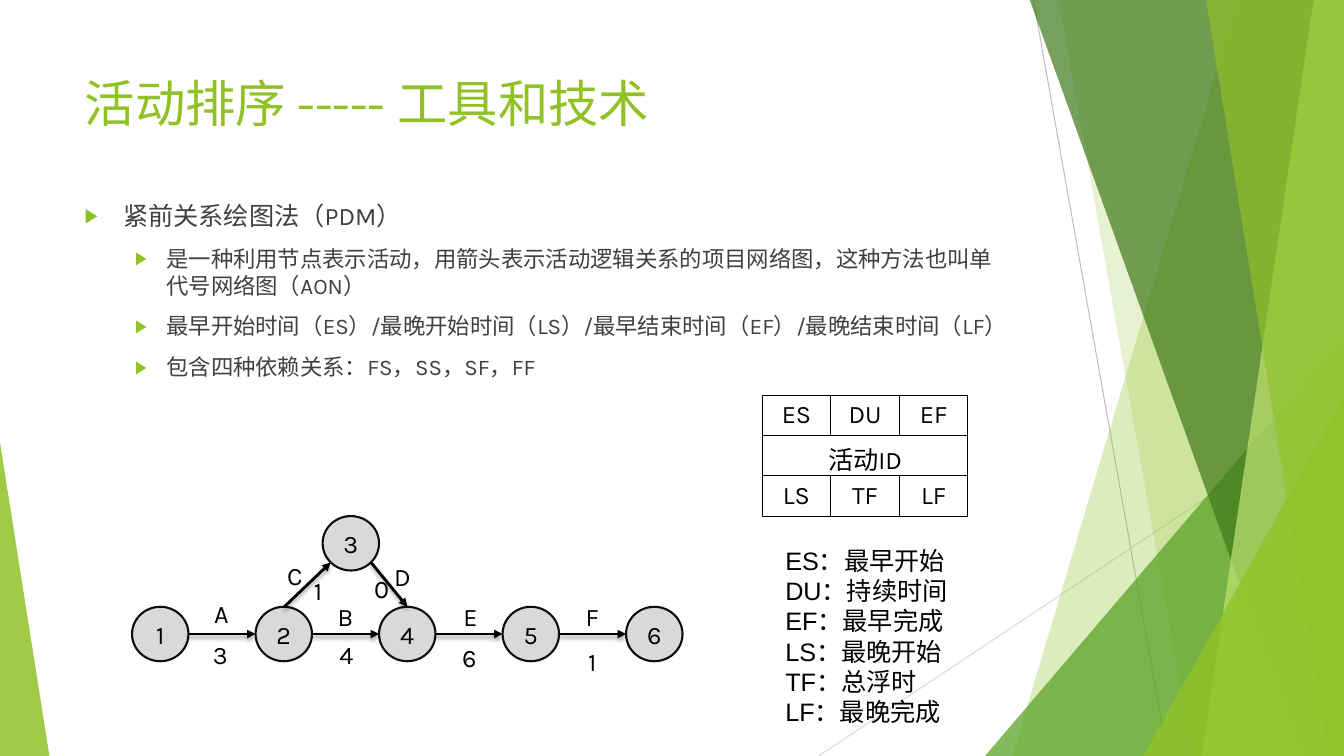
import pptx
import pptx.util
import pptx.dml.color
import pptx.enum.shapes
import pptx.enum.text
import pptx.oxml
import pptx.oxml.ns

Inches, Pt = pptx.util.Inches, pptx.util.Pt
SHAPE = pptx.enum.shapes.MSO_SHAPE
STRAIGHT = pptx.enum.shapes.MSO_CONNECTOR.STRAIGHT
ANCHOR = pptx.enum.text.MSO_ANCHOR
ALIGN = pptx.enum.text.PP_ALIGN
NO_FIT = pptx.enum.text.MSO_AUTO_SIZE.NONE
NS = pptx.oxml.ns.nsdecls("a")

# Content
W, H = 13.33, 7.5
GREEN, GREY, BLACK = "90C226", "404040", "000000"
TITLE = "活动排序 ----- 工具和技术"
BODY = [
    (0, "紧前关系绘图法（PDM）"),
    (1, "是一种利用节点表示活动，用箭头表示活动逻辑关系的项目网络图，这种方法也叫单代号网络图（AON）"),
    (1, "最早开始时间（ES）/最晚开始时间（LS）/最早结束时间（EF）/最晚结束时间（LF）"),
    (1, "包含四种依赖关系：FS，SS，SF，FF"),
]
LEVELS = [(18, 0.38, 0.38), (16, 0.81, 0.31)]  # size, left margin, hanging
NODE_W, NODE_H, NODE_STEP, ROW_Y = 0.56, 0.54, 1.225, 6.02
ROW_NODES = ["1", "2", "4", "5", "6"]
TOP_NODE = ("3", 3.2, 5.12)
FLAT_ARROWS = 4
SLOPED_ARROWS = [(2.82, 6.02, 3.28, 5.58), (3.68, 5.58, 4.04, 6.02)]
ARROW_LABELS = [  # text, left, top
    ("A", 2.02, 5.89), ("B", 3.25, 5.92), ("E", 4.49, 5.92),
    ("F", 5.7, 5.92), ("C", 2.75, 5.51), ("D", 3.81, 5.52),
    ("3", 2.01, 6.29), ("4", 3.26, 6.29), ("6", 4.48, 6.32),
    ("1", 5.7, 6.36), ("1", 2.98, 5.66), ("0", 3.61, 5.64),
]
ACTIVITY_BOX = [["ES", "DU", "EF"], ["活动ID", "", ""], ["LS", "TF", "LF"]]
LEGEND = ["ES：最早开始", "DU：持续时间", "EF：最早完成",
          "LS：最晚开始", "TF：总浮时", "LF：最晚完成"]
THIN_LINES = [(10.25, 0, 11.58, H, "BFBFBF"), (W, 4.03, 8.12, H, "D9D9D9")]
# Bands: top-left x, bottom-left x; triangles: left, top, width, apex
FACETS = [
    ("band", (12.28, 10.04), GREEN, 30),
    ("band", (10.5, 11.83), GREEN, 20),
    ("triangle", (9.77, 3.33, 3.56, 1), "54A021", 72),
    ("band", (10.21, 12.91), "3F7819", 70),
    ("band", (13.03, 11.92), "C0E474", 70),
    ("band", (11.96, 13.18), GREEN, 65),
    ("triangle", (11.34, 3.93, 1.99, 1), GREEN, 80),
    ("triangle", (0, 4.39, 0.49, 0), GREEN, 85),
]


def rgb(color):
    return pptx.dml.color.RGBColor.from_string(color)


def xml(text):
    return pptx.oxml.parse_xml(text.replace(">", f" {NS}>", 1))


def box(*lengths):
    return [Inches(v) for v in lengths]


def style(p, size=18, color=BLACK, font="Karla", align=ALIGN.LEFT):
    p.alignment = align
    for r in p.runs:
        r.font.size, r.font.name = Pt(size), font
        r.font.color.rgb = rgb(color)


def paint(sp, color, alpha=100):
    sp.shadow.inherit = False
    sp.fill.solid()
    sp.fill.fore_color.rgb = rgb(color)
    if alpha < 100:
        clr = sp.element.spPr.find(".//" + pptx.oxml.ns.qn("a:srgbClr"))
        clr.append(xml(f'<a:alpha val="{alpha * 1000}"></a:alpha>'))


def line(x1, y1, x2, y2, color, width):
    c = slide.shapes.add_connector(STRAIGHT, *box(x1, y1, x2, y2))
    c.line.color.rgb, c.line.width = rgb(color), Pt(width)
    effects = xml("<a:effectLst></a:effectLst>")
    c.element.spPr.append(effects)
    return c, effects


def arrow(x1, y1, x2, y2):
    c, effects = line(x1, y1, x2, y2, BLACK, 2)
    c.line._get_or_add_ln().append(xml('<a:tailEnd type="triangle"></a:tailEnd>'))
    effects.append(xml(
        '<a:outerShdw blurRad="38100" dist="25400" dir="5400000" rotWithShape="0">'
        f'<a:srgbClr val="{BLACK}"><a:alpha val="35000"/></a:srgbClr></a:outerShdw>'))


def node(text, x, y):
    sp = slide.shapes.add_shape(SHAPE.OVAL, *box(x, y, NODE_W, NODE_H))
    paint(sp, "D9D9D9")
    sp.line.color.rgb, sp.line.width = rgb("0D0D0D"), Pt(1.5)
    tf = sp.text_frame
    tf.margin_left = tf.margin_right = tf.margin_top = tf.margin_bottom = 0
    tf.vertical_anchor = ANCHOR.MIDDLE
    tf.text = text
    style(tf.paragraphs[0], align=ALIGN.CENTER)


prs = pptx.Presentation()
prs.slide_width, prs.slide_height = box(W, H)
slide = prs.slides.add_slide(prs.slide_layouts[1])
title, body = slide.placeholders[0], slide.placeholders[1]

# Green facets
for x1, y1, x2, y2, color in THIN_LINES:
    line(x1, y1, x2, y2, color, 0.75)
for kind, geometry, color, alpha in FACETS:
    if kind == "band":
        top_x, bottom_x = geometry
        fb = slide.shapes.build_freeform(*box(top_x, -0.01), scale=1.0)
        fb.add_line_segments([box(W, -0.01), box(W, H), box(bottom_x, H)])
        sp = fb.convert_to_shape()
    else:
        x, y, w, apex = geometry
        sp = slide.shapes.add_shape(SHAPE.ISOSCELES_TRIANGLE, *box(x, y, w, H - y))
        sp.adjustments[0] = apex
    paint(sp, color, alpha)
    sp.line.fill.background()

# Title and list, in front of the facets
for ph, top, height in ((title, 0.67, 1.44), (body, 1.94, 4.24)):
    slide.shapes.element.append(ph.element)
    ph.left, ph.top, ph.width, ph.height = box(0.74, top, 9.4, height)
    ph.text_frame.vertical_anchor = ANCHOR.TOP
    ph.text_frame.auto_size = NO_FIT
    ph.text_frame.word_wrap = True
title.text_frame.text = TITLE
style(title.text_frame.paragraphs[0], 36, GREEN)

tf = body.text_frame
tf.text = "\n".join(text for level, text in BODY)
for p, (level, text) in zip(tf.paragraphs, BODY):
    size, margin, hanging = LEVELS[level]
    p.level, p.space_before = level, Pt(10)
    style(p, size, GREY)
    pPr = p._p.get_or_add_pPr()
    pPr.set("marL", str(Inches(margin)))
    pPr.set("indent", str(-Inches(hanging)))
    for bullet in (f'<a:buClr><a:srgbClr val="{GREEN}"/></a:buClr>',
                   '<a:buSzPct val="80000"></a:buSzPct>',
                   '<a:buFont typeface="Arial"></a:buFont>',
                   '<a:buChar char="▶"></a:buChar>'):
        pPr.append(xml(bullet))

# Network diagram
node_x = [1.31 + NODE_STEP * i for i in range(len(ROW_NODES))]
for text, x in zip(ROW_NODES, node_x):
    node(text, x, ROW_Y)
node(*TOP_NODE)
middle = ROW_Y + NODE_H / 2
for i in range(FLAT_ARROWS):
    arrow(node_x[i] + NODE_W, middle, node_x[i + 1], middle)
for ends in SLOPED_ARROWS:
    arrow(*ends)
for text, x, y in ARROW_LABELS:
    tf = slide.shapes.add_textbox(*box(x, y, 0.35, 0.4)).text_frame
    tf.word_wrap = False
    tf.text = text
    style(tf.paragraphs[0], align=ALIGN.CENTER)

# Activity box
table = slide.shapes.add_table(3, 3, *box(7.56, 3.92, 2.04, 1.2)).table
table.first_row = table.horz_banding = False
for i, row in enumerate(ACTIVITY_BOX):
    table.rows[i].height = Inches(0.4)
    for j, text in enumerate(row):
        cell = table.cell(i, j)
        cell.text = text
        style(cell.text_frame.paragraphs[0], align=ALIGN.CENTER)
        cell.fill.background()
        tcPr = cell._tc.get_or_add_tcPr()
        for k, side in enumerate("LRTB"):
            tcPr.insert(k, xml(
                f'<a:ln{side} w="12700"><a:solidFill><a:srgbClr val="{BLACK}"/>'
                f'</a:solidFill></a:ln{side}>'))
table.cell(1, 0).merge(table.cell(1, 2))

# Legend
tf = slide.shapes.add_textbox(*box(7.69, 5.36, 2.45, 2.22)).text_frame
tf.word_wrap = True
tf.text = "\n".join(LEGEND)
for p in tf.paragraphs:
    style(p, font="Arial")

prs.save("out.pptx")
